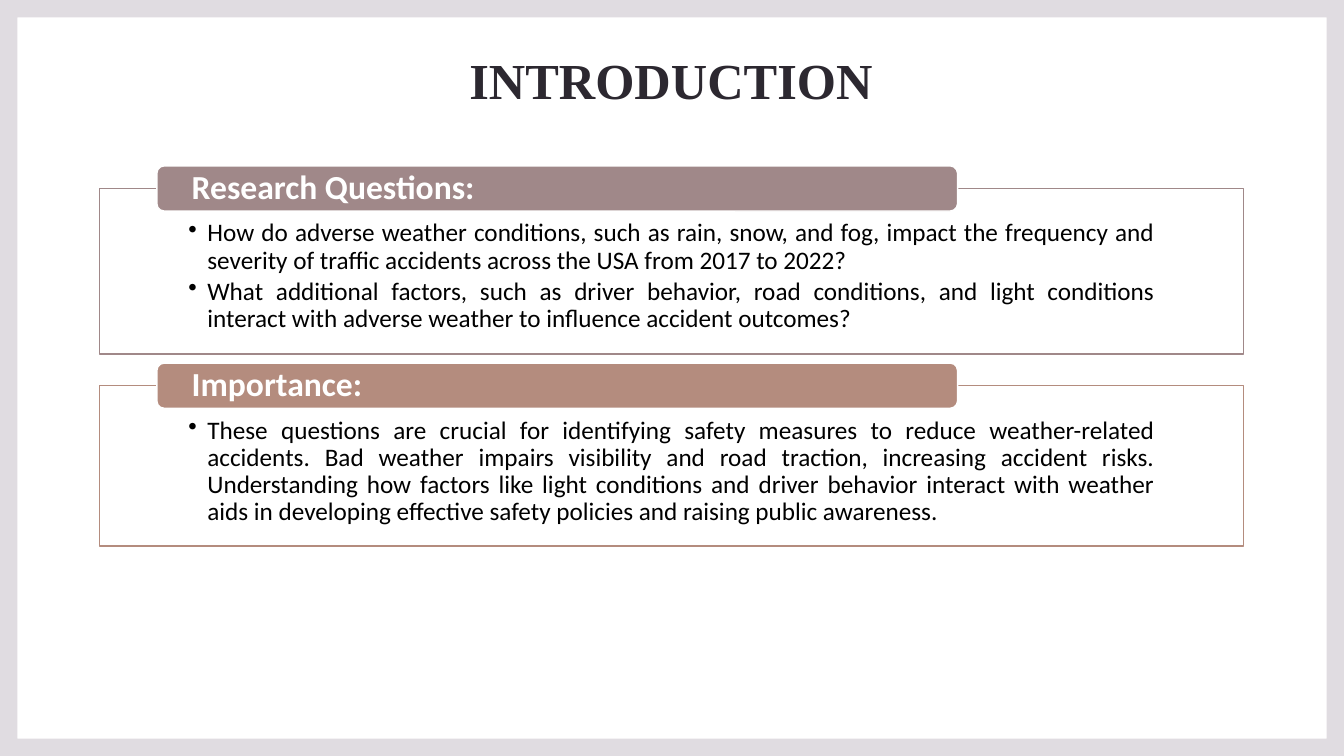
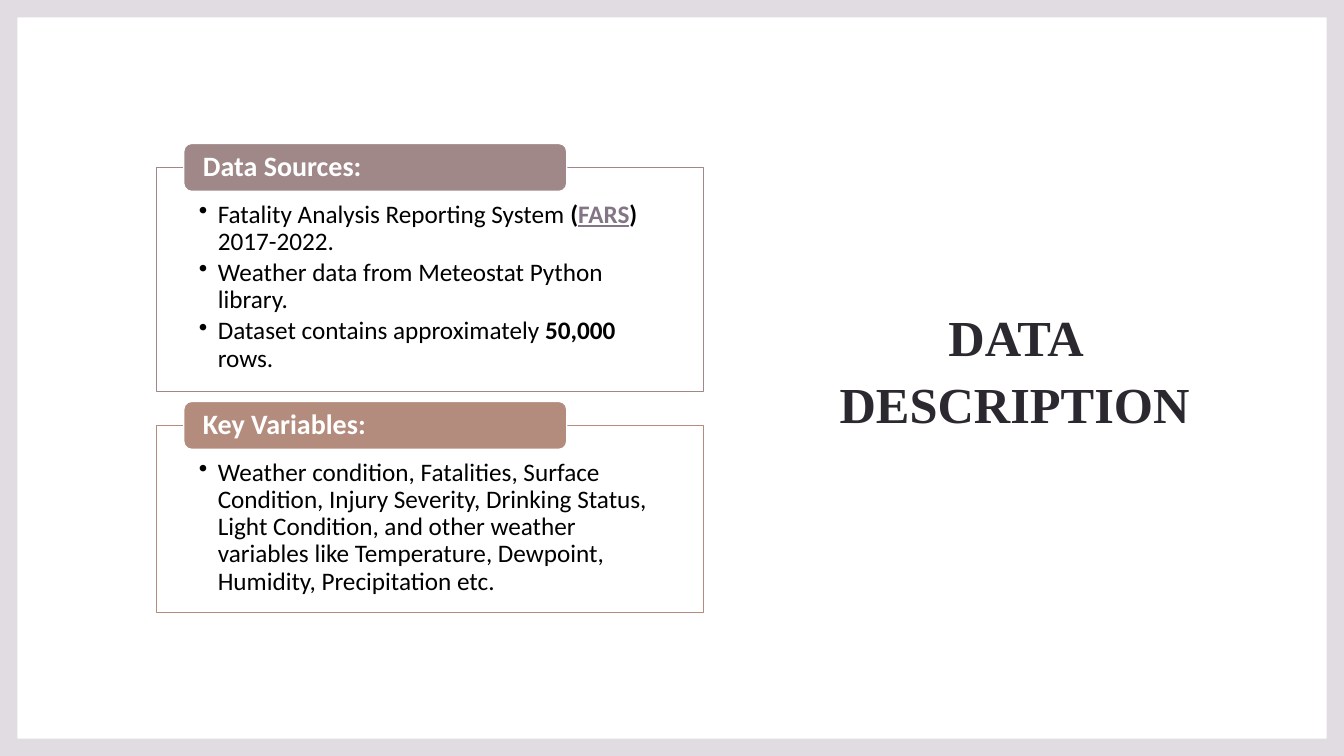
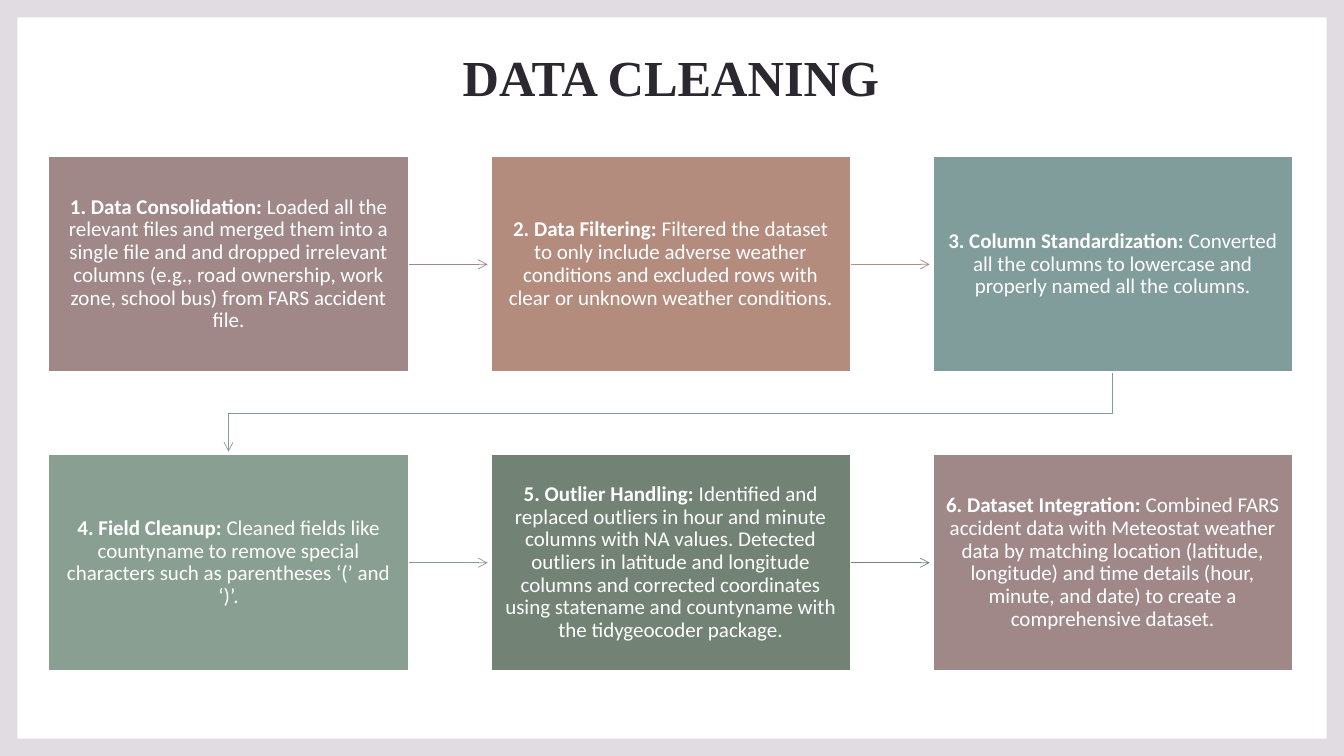
from lxml import etree
from pptx import Presentation
from pptx.dml.color import RGBColor
from pptx.enum.shapes import MSO_CONNECTOR, MSO_SHAPE
from pptx.enum.text import MSO_ANCHOR, MSO_AUTO_SIZE, PP_ALIGN
from pptx.oxml.ns import qn
from pptx.util import Cm, Pt

RECTANGLE = MSO_SHAPE.RECTANGLE
ROUNDED = MSO_SHAPE.ROUNDED_RECTANGLE
FRAME = MSO_SHAPE.FRAME
STRAIGHT = MSO_CONNECTOR.STRAIGHT
LEFT, CENTER, JUSTIFY = PP_ALIGN.LEFT, PP_ALIGN.CENTER, PP_ALIGN.JUSTIFY
TOP, MIDDLE, BOTTOM = MSO_ANCHOR.TOP, MSO_ANCHOR.MIDDLE, MSO_ANCHOR.BOTTOM
NO_FIT = MSO_AUTO_SIZE.NONE

WIDTH, HEIGHT = 33.87, 19.05
COLORS = {
    "frame": "E0DCE1",
    "title": "2C2830",
    "white": "FFFFFF",
    "black": "000000",
    "link": "837585",
    "mauve": "A08889",
    "clay": "B48C7E",
    "teal": "809C9B",
    "sage": "899F91",
    "moss": "728274",
}


class Deck:
    title_font = "Times New Roman"
    body_font = "Calibri"

    def __init__(self):
        self.presentation = Presentation()
        self.presentation.slide_width = Cm(WIDTH)
        self.presentation.slide_height = Cm(HEIGHT)
        self.slide = None

    def color(self, name):
        return RGBColor.from_string(COLORS[name])

    def add_slide(self, title, box, anchor=BOTTOM):
        layout = self.presentation.slide_layouts[5]
        self.slide = self.presentation.slides.add_slide(layout)
        border = self.shape(FRAME, (0, 0, WIDTH, HEIGHT), "frame")
        border.adjustments[0] = 0.023
        placeholder = self.slide.shapes.title
        placeholder.left, placeholder.top, placeholder.width, placeholder.height = map(Cm, box)
        self.put_text(placeholder, [[(title, True)]], 36, "title", CENTER, anchor,
                      (0.25, 0.13, 0.25, 0.13), spacing=1.1, font=self.title_font)

    def shape(self, kind, box, fill, line=None):
        shape = self.slide.shapes.add_shape(kind, *map(Cm, box))
        shape.shadow.inherit = False
        shape.fill.solid()
        shape.fill.fore_color.rgb = self.color(fill)
        if line:
            shape.line.color.rgb = self.color(line)
            shape.line.width = Pt(1)
        else:
            shape.line.fill.background()
        return shape

    def put_text(self, shape, paragraphs, size, color, align, anchor, insets,
                 spacing=0.9, font=body_font, bullets=False):
        frame = shape.text_frame
        frame.word_wrap = True
        frame.auto_size = NO_FIT
        frame.vertical_anchor = anchor
        (frame.margin_left, frame.margin_top,
         frame.margin_right, frame.margin_bottom) = map(Cm, insets)
        for index, runs in enumerate(paragraphs):
            paragraph = frame.add_paragraph() if index else frame.paragraphs[0]
            paragraph.alignment = align
            paragraph.line_spacing = spacing
            if bullets:
                paragraph.space_after = Pt(2.7)
                self.bullet(paragraph)
            for text, bold, *special in runs:
                run = paragraph.add_run()
                run.text = text
                run.font.name = font
                run.font.size = Pt(size)
                run.font.bold = bold
                run.font.underline = bool(special)
                run.font.color.rgb = self.color(special[0] if special else color)

    def bullet(self, paragraph):
        properties = paragraph._p.get_or_add_pPr()
        properties.set("marL", str(Cm(0.48)))
        properties.set("indent", str(-Cm(0.48)))
        etree.SubElement(properties, qn("a:buChar")).set("char", "•")

    def panels(self, left, top, width, gap, tab_height, tab_size, align, items):
        for heading, color, height, paragraphs in items:
            panel = self.shape(RECTANGLE, (left, top, width, height), "white", color)
            side = 0.0776 * width
            self.put_text(panel, paragraphs, 18, "black", align, TOP,
                          (side, gap, side, 0.36), bullets=True)
            tab_box = (left + 0.05 * width, top - tab_height / 2, 0.7 * width, tab_height)
            tab = self.shape(ROUNDED, tab_box, color, "white")
            side = 0.0265 * width + 0.06
            self.put_text(tab, [[(heading, True)]], tab_size, "white", LEFT, MIDDLE,
                          (side, 0, side, 0))
            top += height + gap

    def arrow(self, points, color):
        if len(points) == 2:
            (x1, y1), (x2, y2) = points
            arrow = self.slide.shapes.add_connector(STRAIGHT, Cm(x1), Cm(y1), Cm(x2), Cm(y2))
            etree.SubElement(arrow._element.spPr, qn("a:effectLst"))
        else:
            start, *rest = [(Cm(x), Cm(y)) for x, y in points]
            builder = self.slide.shapes.build_freeform(*start)
            builder.add_line_segments(rest, close=False)
            arrow = builder.convert_to_shape()
            arrow.shadow.inherit = False
            arrow.fill.background()
        arrow.line.color.rgb = self.color(color)
        arrow.line.width = Pt(0.5)
        outline = arrow._element.spPr.find(qn("a:ln"))
        etree.SubElement(outline, qn("a:tailEnd")).set("type", "arrow")

    def process(self, left, top, width, height, gap, columns, steps):
        tip = 0.08
        for index, (heading, detail, color) in enumerate(steps):
            row, column = divmod(index, columns)
            x = left + column * (width + gap)
            y = top + row * (height + gap)
            middle = y + height / 2
            if column < columns - 1:
                self.arrow([(x + width, middle), (x + width + gap - tip, middle)], color)
            elif index < len(steps) - 1:
                start, end = x + width / 2, left + width / 2
                bottom = y + height
                self.arrow([(start, bottom), (start, bottom + gap / 2),
                            (end, bottom + gap / 2), (end, bottom + gap - tip)], color)
            box = self.shape(RECTANGLE, (x, y, width, height), color, "white")
            self.put_text(box, [[(heading, True), (detail, False)]], 15, "white",
                          CENTER, MIDDLE, (0.3, 0.3, 0.3, 0.3))


def main():
    deck = Deck()

    deck.add_slide("INTRODUCTION", (2.84, 0.38, 28.14, 2.51))
    deck.panels(2.51, 4.75, 28.83, 0.8, 1.14, 24, JUSTIFY, [
        ("Research Questions:", "mauve", 4.17, [
            [("How do adverse weather conditions, such as rain, snow, and fog, impact the "
              "frequency and severity of traffic accidents across the USA from 2017 to 2022?", False)],
            [("What additional factors, such as driver behavior, road conditions, and light "
              "conditions interact with adverse weather to influence accident outcomes?", False)],
        ]),
        ("Importance:", "clay", 4.04, [
            [("These questions are crucial for identifying safety measures to reduce "
              "weather-related accidents. Bad weather impairs visibility and road traction, "
              "increasing accident risks. Understanding how factors like light conditions and "
              "driver behavior interact with weather aids in developing effective safety "
              "policies and raising public awareness.", False)],
        ]),
    ])

    deck.add_slide("DATA DESCRIPTION", (20.57, 7.32, 10, 3.84), MIDDLE)
    deck.panels(3.94, 4.22, 13.79, 0.86, 1.21, 20, LEFT, [
        ("Data Sources:", "mauve", 5.64, [
            [("Fatality Analysis Reporting System ", False), ("(", True),
             ("FARS", True, "link"), (") ", True), ("2017-2022.", False)],
            [("Weather data from Meteostat Python library.", False)],
            [("Dataset contains approximately ", False), ("50,000", True), (" rows.", False)],
        ]),
        ("Key Variables:", "clay", 4.72, [
            [("Weather condition, Fatalities, Surface Condition, Injury Severity, Drinking "
              "Status, Light Condition, and other weather variables like Temperature, "
              "Dewpoint, Humidity, Precipitation etc.", False)],
        ]),
    ])

    deck.add_slide("DATA CLEANING", (2.84, 0.31, 28.14, 2.51))
    deck.process(1.23, 3.94, 9.06, 5.44, 2.08, 3, [
        ("1. Data Consolidation: ",
         "Loaded all the relevant files and merged them into a single file and and dropped "
         "irrelevant columns (e.g., road ownership, work zone, school bus) from FARS "
         "accident file.", "mauve"),
        ("2. Data Filtering: ",
         "Filtered the dataset to only include adverse weather conditions and excluded rows "
         "with clear or unknown weather conditions.", "clay"),
        ("3. Column Standardization: ",
         "Converted all the columns to lowercase and properly named all the columns.", "teal"),
        ("4. Field Cleanup: ",
         "Cleaned fields like countyname to remove special characters such as "
         "parentheses ‘(’ and ‘)’.", "sage"),
        ("5. Outlier Handling: ",
         "Identified and replaced outliers in hour and minute columns with NA values. "
         "Detected outliers in latitude and longitude columns and corrected coordinates "
         "using statename and countyname with the tidygeocoder package.", "moss"),
        ("6. Dataset Integration: ",
         "Combined FARS accident data with Meteostat weather data by matching location "
         "(latitude, longitude) and time details (hour, minute, and date) to create a "
         "comprehensive dataset.", "mauve"),
    ])

    deck.presentation.save("out.pptx")


if __name__ == "__main__":
    main()
